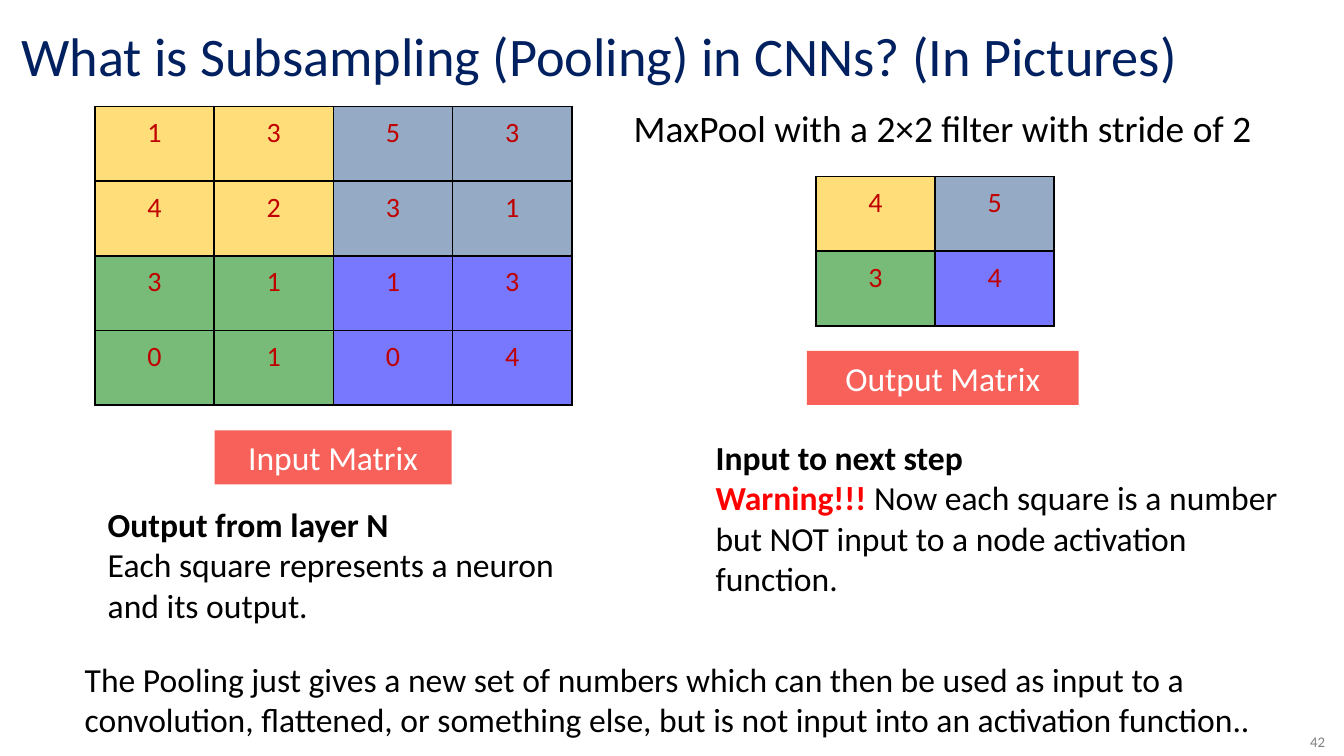
from lxml import etree
from pptx import Presentation
from pptx.dml.color import RGBColor
from pptx.enum.shapes import MSO_SHAPE
from pptx.enum.text import MSO_ANCHOR, PP_ALIGN
from pptx.oxml import parse_xml
from pptx.oxml.ns import nsdecls, qn
from pptx.util import Pt

RECT = MSO_SHAPE.RECTANGLE
TOP, MIDDLE = MSO_ANCHOR.TOP, MSO_ANCHOR.MIDDLE
LEFT, CENTER, RIGHT = PP_ALIGN.LEFT, PP_ALIGN.CENTER, PP_ALIGN.RIGHT

FONT = "Calibri"
BLACK = RGBColor(0x00, 0x00, 0x00)
WHITE = RGBColor(0xFF, 0xFF, 0xFF)
GRAY = RGBColor(0x80, 0x80, 0x80)
NAVY = RGBColor(0x00, 0x20, 0x60)
RED = RGBColor(0xFF, 0x00, 0x00)
DARK_RED = RGBColor(0xC0, 0x00, 0x00)
CORAL = RGBColor(0xF7, 0x61, 0x5A)
QUADRANTS = [
    [RGBColor(0xFF, 0xC0, 0x00), RGBColor(0x37, 0x60, 0x92)],
    [RGBColor(0x00, 0x80, 0x00), RGBColor(0x00, 0x00, 0xFF)],
]
OPACITY = 53  # percent

CELL_W, CELL_H = 63.9, 40
INPUT_MATRIX = [[1, 3, 5, 3], [4, 2, 3, 1], [3, 1, 1, 3], [0, 1, 0, 4]]
OUTPUT_MATRIX = [[4, 5], [3, 4]]


def set_font(font, size, color, bold=False):
    font.name = FONT
    font.size = Pt(size)
    font.bold = bold
    font.color.rgb = color


def add_text(slide, box, paragraphs, size, color=BLACK, align=LEFT, anchor=TOP):
    """Add a text box; each paragraph is a list of (text, color, bold) runs or a string."""
    tf = slide.shapes.add_textbox(*map(Pt, box)).text_frame
    tf.word_wrap = True
    tf.vertical_anchor = anchor
    for i, runs in enumerate(paragraphs):
        p = tf.paragraphs[0] if i == 0 else tf.add_paragraph()
        p.alignment = align
        if isinstance(runs, str):
            runs = [(runs, color, False)]
        for text, run_color, bold in runs:
            r = p.add_run()
            r.text = text
            set_font(r.font, size, run_color, bold)


def add_label(slide, box, text):
    sp = slide.shapes.add_shape(RECT, *map(Pt, box))
    sp.shadow.inherit = False
    sp.fill.solid()
    sp.fill.fore_color.rgb = CORAL
    sp.line.fill.background()
    p = sp.text_frame.paragraphs[0]
    p.text = text
    p.alignment = CENTER
    set_font(p.font, 18, WHITE)


def style_cell(cell, color):
    """Give a cell black borders and a translucent fill."""
    tc_pr = cell._tc.get_or_add_tcPr()
    for side in ("lnL", "lnR", "lnT", "lnB"):
        tc_pr.append(parse_xml(
            f'<a:{side} {nsdecls("a")} w="{Pt(1)}"><a:solidFill>'
            f'<a:srgbClr val="{BLACK}"/></a:solidFill></a:{side}>'))
    cell.fill.solid()
    cell.fill.fore_color.rgb = color
    clr = tc_pr.find(qn("a:solidFill")).find(qn("a:srgbClr"))
    etree.SubElement(clr, qn("a:alpha")).set("val", str(OPACITY * 1000))


def add_matrix(slide, left, top, values):
    """Add a square matrix whose four quadrants have their own colours."""
    n = len(values)
    table = slide.shapes.add_table(
        n, n, Pt(left), Pt(top), Pt(n * CELL_W), Pt(n * CELL_H)).table
    table.first_row = table.horz_banding = False
    for i, row in enumerate(values):
        table.rows[i].height = Pt(CELL_H)
        table.columns[i].width = Pt(CELL_W)
        for j, value in enumerate(row):
            cell = table.cell(i, j)
            cell.margin_left = cell.margin_right = Pt(9.4)
            cell.margin_top = cell.margin_bottom = Pt(5)
            style_cell(cell, QUADRANTS[2 * i // n][2 * j // n])
            p = cell.text_frame.paragraphs[0]
            p.text = str(value)
            p.alignment = CENTER
            set_font(p.font, 15, DARK_RED)


def main():
    prs = Presentation()
    prs.slide_width, prs.slide_height = Pt(720), Pt(405)
    slide = prs.slides.add_slide(prs.slide_layouts[6])

    add_text(slide, (638, 388.8, 79, 16.5), ["42"], 7.9, GRAY, RIGHT)
    add_text(slide, (4.3, 2.2, 720, 54.7),
             ["What is Subsampling (Pooling) in CNNs? (In Pictures)"],
             29.1, NAVY, anchor=MIDDLE)

    add_matrix(slide, 50.8, 57, INPUT_MATRIX)
    add_label(slide, (115, 230.5, 127, 29), "Input Matrix")
    add_text(slide, (50.6, 266.4, 255.6, 72.7), [
        [("Output from layer N", BLACK, True)],
        "Each square represents a neuron and its output.",
    ], 18)

    add_text(slide, (310.3, 52.6, 389.5, 31.7),
             ["MaxPool with a 2×2 filter with stride of 2"], 20, align=CENTER)
    add_matrix(slide, 437, 94.5, OUTPUT_MATRIX)
    add_label(slide, (432.3, 188, 145.5, 29), "Output Matrix")
    add_text(slide, (376.3, 230.5, 329, 94.3), [
        [("Input to next step", BLACK, True)],
        [("Warning!!! ", RED, True),
         ("Now each square is a number but NOT input to a node activation function.",
          BLACK, False)],
    ], 18)

    add_text(slide, (38.3, 349.3, 651.6, 51), [
        "The Pooling just gives a new set of numbers which can then be used as input "
        "to a convolution, flattened, or something else, but is not input into an "
        "activation function..",
    ], 18)

    prs.save("out.pptx")


if __name__ == "__main__":
    main()
